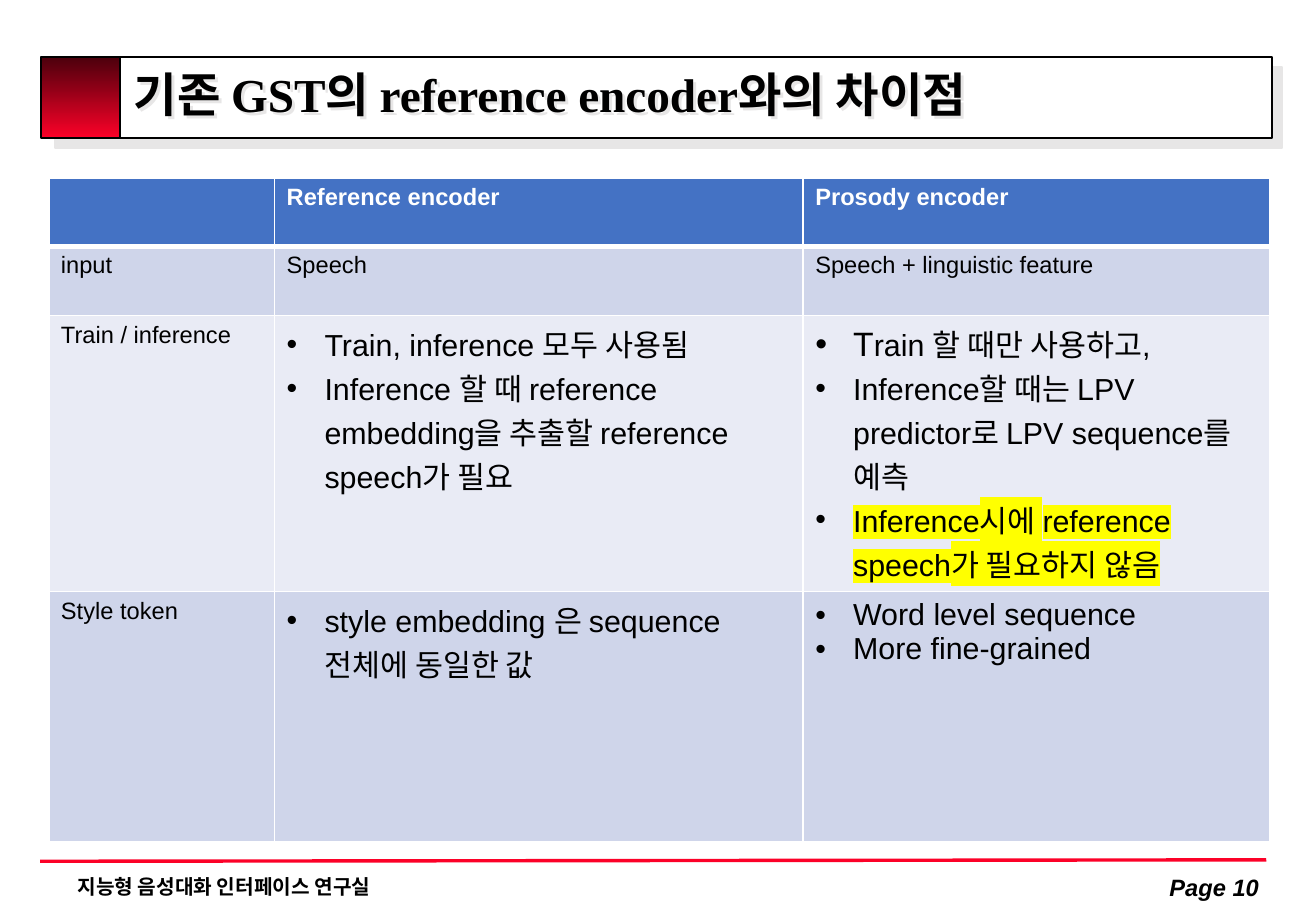
from dataclasses import dataclass

from lxml.etree import SubElement
from pptx import Presentation
from pptx.dml.color import RGBColor
from pptx.enum.shapes import MSO_CONNECTOR, MSO_SHAPE
from pptx.enum.text import MSO_ANCHOR, MSO_AUTO_SIZE, PP_ALIGN
from pptx.oxml import parse_xml
from pptx.oxml.ns import nsdecls, qn
from pptx.util import Cm, Pt

BLACK = RGBColor(0x00, 0x00, 0x00)
WHITE = RGBColor(0xFF, 0xFF, 0xFF)
RED = RGBColor(0xFC, 0x01, 0x28)
MAROON = RGBColor(0x4B, 0x00, 0x0C)
GREY = RGBColor(0xE7, 0xE6, 0xE6)
BLUE = RGBColor(0x44, 0x72, 0xC4)
PALE = RGBColor(0xCF, 0xD5, 0xEA)
LIGHT = RGBColor(0xE9, 0xEB, 0xF5)
YELLOW = RGBColor(0xFF, 0xFF, 0x00)


@dataclass
class Item:
    """A bullet; lead is a slightly larger opening, mark highlights the text."""
    text: str
    lead: str = ""
    mark: bool = False


ROWS = [
    ("", "Reference encoder", "Prosody encoder"),
    ("input", "Speech", "Speech + linguistic feature"),
    ("Train / inference",
     [Item("Train, inference 모두 사용됨"),
      Item("Inference 할 때 reference embedding을 추출할 reference speech가 필요")],
     [Item("rain 할 때만 사용하고,", lead="T"),
      Item("Inference할 때는 LPV predictor로 LPV sequence를 예측"),
      Item("Inference시에 reference speech가 필요하지 않음", mark=True)]),
    ("Style token",
     [Item("style embedding 은 sequence 전체에 동일한 값")],
     [Item("Word level sequence"), Item("More fine-grained")]),
]
FILLS = [BLUE, PALE, LIGHT, PALE]
WIDTHS = [4.72, 11.05, 9.75]
HEIGHTS = [1.42, 1.45, 5.77, 5.23]


class Deck:
    def __init__(self, width, height):
        self.show = Presentation()
        self.show.slide_width, self.show.slide_height = Cm(width), Cm(height)
        self.slide = self.show.slides.add_slide(self.show.slide_layouts[5])
        self.shapes = self.slide.shapes
        self.face = "Arial"

    def style(self, para, size, color=BLACK, bold=False, face=None):
        font = para.font
        font.name, font.size, font.bold = face or self.face, Pt(size), bold
        font.color.rgb = color

    def shade(self, shape, dist):
        """Give a shape a hard shadow, dist points to the lower right."""
        shape.shadow.inherit = False
        effects = shape._element.spPr.find(qn("a:effectLst"))
        shadow = SubElement(effects, qn("a:outerShdw"), blurRad="0",
                            dist=str(Pt(dist)), dir="2700000", algn="tl")
        SubElement(shadow, qn("a:srgbClr"), val=str(GREY))

    def box(self, left, top, width, height):
        shape = self.shapes.add_shape(
            MSO_SHAPE.RECTANGLE, Cm(left), Cm(top), Cm(width), Cm(height))
        shape.shadow.inherit = False
        shape.fill.solid()
        shape.fill.fore_color.rgb = WHITE
        shape.line.color.rgb, shape.line.width = BLACK, Pt(1)
        return shape

    def panel(self, *place):
        self.shade(self.box(*place), 8.5)

    def swatch(self, *place):
        fill = self.box(*place).fill
        fill.gradient()
        fill.gradient_angle = 270
        for stop, color, pos in zip(fill.gradient_stops, (MAROON, RED), (0, 1)):
            stop.color.rgb, stop.position = color, pos

    def rule(self, left, top, right, bottom):
        line = self.shapes.add_connector(
            MSO_CONNECTOR.STRAIGHT, Cm(left), Cm(top), Cm(right), Cm(bottom))
        line.line.color.rgb, line.line.width = RED, Pt(2)
        SubElement(line._element.spPr, qn("a:effectLst"))

    def title(self, text, left, top, width, height):
        shape = self.shapes.title
        shape.left, shape.top, shape.width, shape.height = map(
            Cm, (left, top, width, height))
        shape.fill.background()
        self.shade(shape, 2.5)
        frame = shape.text_frame
        frame.auto_size, frame.vertical_anchor = MSO_AUTO_SIZE.NONE, MSO_ANCHOR.MIDDLE
        para = frame.paragraphs[0]
        para.text, para.alignment, para.line_spacing = text, PP_ALIGN.LEFT, 0.8
        self.style(para, 28, bold=True, face="Times New Roman")
        # Bring the title in front of the panel.
        self.shapes._spTree.append(shape._element)

    def label(self, text, place, size, wrap=True, anchor=MSO_ANCHOR.TOP,
              align=PP_ALIGN.LEFT, slant=False):
        frame = self.shapes.add_textbox(*map(Cm, place)).text_frame
        frame.word_wrap, frame.vertical_anchor = wrap, anchor
        para = frame.paragraphs[0]
        para.text, para.alignment = text, align
        self.style(para, size, bold=True)
        para.font.italic = slant

    def bullet(self, para, item):
        self.style(para, 18)
        props = para._p.get_or_add_pPr()
        props.set("marL", str(Cm(0.79)))
        props.set("indent", str(-Cm(0.79)))
        head = props.find(qn("a:defRPr"))
        for tag, key, value in (("buFont", "typeface", self.face), ("buChar", "char", "•")):
            head.addprevious(parse_xml(f'<a:{tag} {nsdecls("a")} {key}="{value}"/>'))
        if item.lead:
            lead = para.add_run()
            lead.text, lead.font.size = item.lead, Pt(20)
        run = para.add_run()
        run.text = item.text
        if item.mark:
            mark = SubElement(run._r.get_or_add_rPr(), qn("a:highlight"))
            SubElement(mark, qn("a:srgbClr"), val=str(YELLOW))

    def edge(self, cell, top, bottom):
        """Draw white borders; top and bottom are widths in points."""
        props = cell._tc.get_or_add_tcPr()
        for spot, (side, width) in enumerate(zip("LRTB", (1, 1, top, bottom))):
            props.insert(spot, parse_xml(
                f'<a:ln{side} {nsdecls("a")} w="{Pt(width)}"><a:solidFill>'
                f'<a:srgbClr val="{WHITE}"/></a:solidFill></a:ln{side}>'))

    def table(self, left, top):
        grid = self.shapes.add_table(
            len(ROWS), len(WIDTHS), Cm(left), Cm(top),
            Cm(sum(WIDTHS)), Cm(sum(HEIGHTS))).table
        for col, width in zip(grid.columns, WIDTHS):
            col.width = Cm(width)
        for i, (texts, fill, height) in enumerate(zip(ROWS, FILLS, HEIGHTS)):
            grid.rows[i].height = Cm(height)
            for j, text in enumerate(texts):
                cell = grid.cell(i, j)
                cell.fill.solid()
                cell.fill.fore_color.rgb = fill
                self.edge(cell, 3 if i == 1 else 1, 3 if i == 0 else 1)
                self.fill(cell.text_frame, text, i == 0)

    def fill(self, frame, text, head):
        """Put plain text or a list of bullets into a cell."""
        para = frame.paragraphs[0]
        if isinstance(text, str):
            para.text = text
            self.style(para, 14, WHITE if head else BLACK, head)
            return
        for n, item in enumerate(text):
            self.bullet(frame.add_paragraph() if n else para, item)


def main():
    deck = Deck(27.51, 19.05)
    deck.panel(0.94, 1.19, 25.65, 1.7)
    deck.swatch(0.86, 1.19, 1.65, 1.7)
    deck.rule(0.84, 18.01, 26.47, 17.98)
    deck.label("지능형 음성대화 인터페이스 연구실", (1.37, 18.16, 18.39, 0.76), 12)
    deck.title("기존 GST의 reference encoder와의 차이점", 2.54, 1.12, 24.13, 1.9)
    deck.label("Page 10", (23.6, 18.14, 2.97, 0.84), 14, wrap=False,
               anchor=MSO_ANCHOR.MIDDLE, align=PP_ALIGN.RIGHT, slant=True)
    deck.table(1.02, 3.73)
    deck.show.save("out.pptx")


if __name__ == "__main__":
    main()
